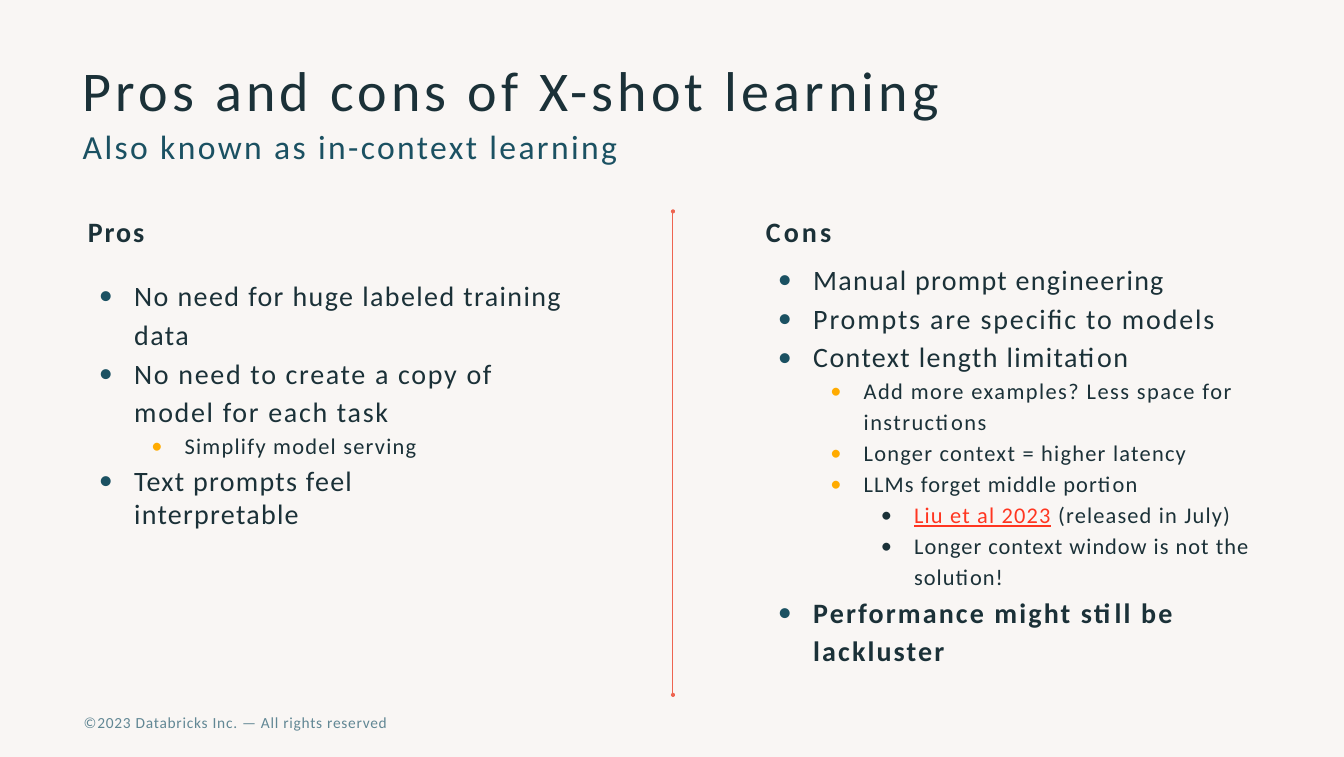
from dataclasses import dataclass

from lxml import etree
from pptx import Presentation
from pptx.dml.color import RGBColor
from pptx.enum.shapes import MSO_CONNECTOR, MSO_SHAPE
from pptx.enum.text import MSO_ANCHOR, MSO_AUTO_SIZE, PP_ALIGN
from pptx.oxml.ns import qn
from pptx.util import Inches, Pt

LEFT, TOP = PP_ALIGN.LEFT, MSO_ANCHOR.TOP
FIXED = MSO_AUTO_SIZE.NONE
OVAL, LINE = MSO_SHAPE.OVAL, MSO_CONNECTOR.STRAIGHT

# Content: title lines and footer are (text, size key, colour key, tracking)
HEAD = [
    ("Pros and cons of X-shot learning", "title", "ink", 3.0),
    ("Also known as in-context learning", "sub", "teal", 1.7),
]
FOOT = [("©2023 Databricks Inc. — All rights reserved", "foot", "grey", 0.5)]

# List items: level, text, tracking, then options
PROS = [
    (0, "No need for huge labeled training data", 1.0, {}),
    (0, "No need to create a copy of model for each task", 1.2, {"right": 0.3}),
    (1, "Simplify model serving", 0.9, {}),
    (0, "Text prompts feel interpretable", 0.9,
     {"right": 1.0, "lead": 1.0, "before": 2.7}),
]
CONS = [
    (0, "Manual prompt engineering", 0.9, {}),
    (0, "Prompts are speciﬁc to models", 1.3, {}),
    (0, "Context length limitation", 0.95, {}),
    (1, "Add more examples? Less space for instructions", 1.05, {}),
    (1, "Longer context = higher latency", 0.9, {}),
    (1, "LLMs forget middle portion", 0.8, {}),
    (2, " (released in July)", 0.85, {"cite": "Liu et al 2023"}),
    (2, "Longer context window is not the solution!", 0.75, {}),
    (0, "Performance might still be lackluster", 1.5, {"bold": True}),
]
# Heading, tracking, heading left, list items, list box
COLS = [
    ("Pros", 1.4, 0.87, PROS, (0.97, 2.71, 4.64, 2.25)),
    ("Cons", 2.2, 7.59, CONS, (7.7, 2.55, 4.8, 4.07)),
]


@dataclass
class Theme:
    font = "Calibri"
    color = {"back": "F9F6F4", "ink": "1B3138", "teal": "1B5162",
             "grey": "618794", "rule": "EE6450", "gold": "FFAB00",
             "link": "FF3621"}
    size = {"title": 40, "sub": 24, "head": 20, "foot": 11}
    # Per list level: type size, bullet colour, text indent, hang
    level = [(20, "teal", 0.36, 0.35), (16, "gold", 0.86, 0.33),
             (16, "ink", 1.36, 0.33)]
    lead = 1.15


theme = Theme()


def rgb(key):
    return RGBColor.from_string(theme.color[key])


def place(shape, left, top, width, height, inset=0):
    shape.left, shape.top = Inches(left), Inches(top)
    shape.width, shape.height = Inches(width), Inches(height)
    frame = shape.text_frame
    frame.word_wrap, frame.auto_size = True, FIXED
    frame.vertical_anchor = TOP
    frame.margin_left = frame.margin_right = frame.margin_bottom = 0
    frame.margin_top = Inches(inset)
    return frame


def style(run, size, key, track, bold=False):
    font = run.font
    font.name, font.size, font.bold = theme.font, Pt(size), bold
    font.color.rgb = rgb(key)
    run._r.get_or_add_rPr().set("spc", str(round(track * 100)))


def lines(frame, rows, gap=0, bold=False):
    frame.text = "\n".join(row[0] for row in rows)
    for i, (para, row) in enumerate(zip(frame.paragraphs, rows)):
        para.alignment, para.line_spacing = LEFT, 1.0
        para.space_before = Pt(gap if i else 0)
        style(para.runs[0], theme.size[row[1]], row[2], row[3], bold)


def bullet(para, key, indent, hang, right):
    props = para._p.get_or_add_pPr()
    props.set("marL", str(Inches(indent)))
    props.set("indent", str(-Inches(hang)))
    props.set("marR", str(Inches(right)))
    tint = etree.SubElement(props, qn("a:buClr"))
    etree.SubElement(tint, qn("a:srgbClr"), val=theme.color[key])
    etree.SubElement(props, qn("a:buFont"), typeface=theme.font)
    etree.SubElement(props, qn("a:buChar"), char="•")


def items(frame, rows):
    frame.text = "\n".join(opts.get("cite", text) for _, text, _, opts in rows)
    for para, (level, text, track, opts) in zip(frame.paragraphs, rows):
        size, key, indent, hang = theme.level[level]
        para.level, para.alignment = level, LEFT
        bullet(para, key, indent, hang, opts.get("right", 0))
        para.line_spacing = opts.get("lead", theme.lead)
        para.space_before = Pt(opts.get("before", 0))
        if "cite" in opts:
            para.add_run().text = text
        for run in para.runs:
            style(run, size, "ink", track, opts.get("bold", False))
        if "cite" in opts:
            cite = para.runs[0].font
            cite.underline, cite.color.rgb = True, rgb("link")


def divider(shapes, x, top, end, dot):
    rule = shapes.add_connector(LINE, Inches(x), Inches(top), Inches(x), Inches(end))
    rule.line.color.rgb, rule.line.width = rgb("rule"), Pt(0.75)
    etree.SubElement(rule._element.spPr, qn("a:effectLst"))
    for y in (top - dot, end):
        knob = shapes.add_shape(OVAL, Inches(x - dot / 2), Inches(y),
                                Inches(dot), Inches(dot))
        knob.shadow.inherit = False
        knob.fill.solid()
        knob.fill.fore_color.rgb = knob.line.color.rgb = rgb("rule")
        knob.line.width = Pt(0.75)


def main():
    deck = Presentation()
    deck.slide_width, deck.slide_height = Inches(13.32), Inches(7.5)
    slide = deck.slides.add_slide(deck.slide_layouts.get_by_name("Comparison"))
    slide.background.fill.solid()
    slide.background.fill.fore_color.rgb = rgb("back")
    shapes, slots = slide.shapes, slide.placeholders

    # Title and subtitle
    lines(place(shapes.title, 0.82, 0.44, 12.22, 1.21, 0.11), HEAD, gap=2)

    # Two columns: heading above list
    for i, (name, track, left, rows, box) in enumerate(COLS):
        head, body = slots[1 + 2 * i], slots[2 + 2 * i]
        lines(place(head, left, 2.12, 1.5, 0.36),
              [(name, "head", "ink", track)], bold=True)
        items(place(body, *box), rows)

    # Centre rule with end dots
    divider(shapes, 6.67, 2.11, 6.87, 0.03)

    # Footer
    foot = shapes.add_textbox(0, 0, 0, 0)
    lines(place(foot, 0.83, 7.06, 3.5, 0.23, 0.01), FOOT)

    deck.save("out.pptx")


if __name__ == "__main__":
    main()
